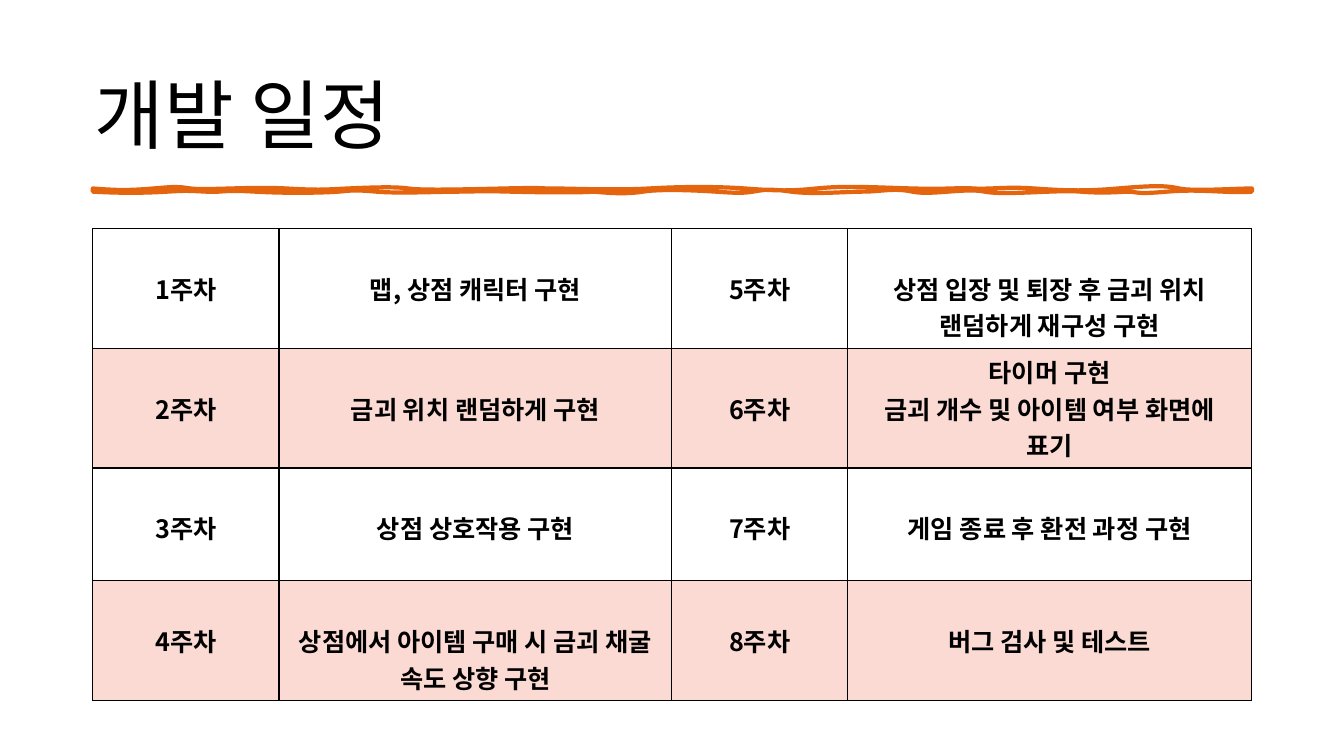
from dataclasses import dataclass

from lxml.etree import SubElement
from pptx import Presentation
from pptx.dml.color import RGBColor
from pptx.enum.text import MSO_ANCHOR, PP_ALIGN
from pptx.oxml.ns import qn
from pptx.util import Cm, Pt


@dataclass(frozen=True)
class Theme:
    """Colours, font and type sizes of the slide."""
    font: str = "Noto Sans CJK KR"
    ink: str = "000000"
    rule: str = "E4650E"
    band: str = "E64823"
    band_alpha: int = 20000
    title: int = 54
    cell: int = 18


@dataclass(frozen=True)
class Box:
    """A region of the slide in centimetres."""
    x: float
    y: float
    w: float
    h: float

    def place(self):
        """Return left, top, width and height as lengths."""
        return Cm(self.x), Cm(self.y), Cm(self.w), Cm(self.h)


THEME = Theme()
RULE_UNITS = 1150
RULE_TOP = [
    (25, 2, 36, 2, 60), (84, -2, 83, -2, 97), (112, 2, 157, -2, 192),
    (227, 2, 231, 1, 253), (275, -1, 300, -2, 313), (326, 2, 366, 1, 408),
    (450, -1, 438, 0, 457), (475, 0, 517, 2, 552), (586, -2, 619, -2, 647),
    (674, 2, 690, 3, 718), (747, -3, 777, -1, 813), (850, 1, 858, -1, 874),
    (890, 1, 906, -2, 934), (962, 2, 983, 3, 1017), (1052, -3, 1065, -3, 1078),
    (1091, 3, 1134, 0, 1150),
]
RULE_END = [(1150, -2, 1150, -1, 1150)]
RULE_BOTTOM = [
    (1127, 2, 1101, -3, 1066), (1032, 3, 1037, 0, 1029), (1021, 0, 1004, 2, 980),
    (956, -2, 905, 4, 885), (865, -4, 832, 4, 813), (795, -4, 782, 0, 764),
    (747, 0, 715, 3, 693), (671, -3, 667, -2, 655), (644, 2, 633, 1, 618),
    (602, -1, 565, -3, 546), (527, 3, 509, 1, 497), (485, 1, 454, 1, 414),
    (373, -1, 387, 0, 365), (342, 0, 304, 2, 281), (259, -2, 256, -1, 244),
    (232, 1, 195, 2, 161), (126, -2, 131, 1, 112), (92, -1, 92, -1, 74),
    (57, 1, 35, 2, 0),
]
COLUMNS = [4.69, 9.9, 4.43, 10.18]
SCHEDULE = [
    ["맵, 상점 캐릭터 구현"],
    ["금괴 위치 랜덤하게 구현"],
    ["상점 상호작용 구현"],
    ["상점에서 아이템 구매 시 금괴 채굴 속도 상향 구현"],
    ["상점 입장 및 퇴장 후 금괴 위치 랜덤하게 재구성 구현"],
    ["타이머 구현", "금괴 개수 및 아이템 여부 화면에 표기"],
    ["게임 종료 후 환전 과정 구현"],
    ["버그 검사 및 테스트"],
]


def write(p, text, size, bold, align):
    """Write one styled line of text into a paragraph."""
    r = p.add_run()
    r.text = text
    p.alignment = align
    for font in (p.font, r.font):
        font.size, font.bold, font.name = Pt(size), bold, THEME.font
        font.color.rgb = RGBColor.from_string(THEME.ink)
        SubElement(font._rPr, qn("a:ea"), typeface=THEME.font)


def add_title(s, box, text):
    """Place the title placeholder in the box."""
    sp = s.shapes.title
    sp.left, sp.top, sp.width, sp.height = box.place()
    tf = sp.text_frame
    tf.word_wrap = True
    tf.vertical_anchor = MSO_ANCHOR.MIDDLE
    write(tf.paragraphs[0], text, THEME.title, False, PP_ALIGN.LEFT)


def add_rule(s, box):
    """Draw the hand-drawn rule across the box."""
    left, top, width, height = box.place()
    unit = width / RULE_UNITS
    curves = [(0, c) for c in RULE_TOP] + [(height, c) for c in RULE_END + RULE_BOTTOM]
    builder = s.shapes.build_freeform(left, top)
    builder.add_line_segments([(left + c[4] * unit, top + y) for y, c in curves])
    sp = builder.convert_to_shape()
    for segment, (y, (x1, dy1, x2, dy2, _)) in zip(sp._element.findall(".//" + qn("a:lnTo")), curves):
        segment.tag = qn("a:cubicBezTo")
        for i, (x, dy) in enumerate([(x1, dy1), (x2, dy2)]):
            pt = SubElement(segment, qn("a:pt"), x=str(round(x * unit)), y=str(round(y + dy * unit)))
            segment.insert(i, pt)
    sp.shadow.inherit = False
    sp.fill.background()
    sp.line.color.rgb = RGBColor.from_string(THEME.rule)
    sp.line.width = Pt(3)
    ln = sp.line._get_or_add_ln()
    ln.set("cap", "rnd")
    SubElement(ln, qn("a:round"))


def format_cell(cell, lines, banded):
    """Fill, border and write one schedule cell."""
    tc_pr = cell._tc.get_or_add_tcPr()
    for side in "LRTB":
        ln = SubElement(tc_pr, qn(f"a:ln{side}"), w=str(Pt(1)))
        SubElement(SubElement(ln, qn("a:solidFill")), qn("a:srgbClr"), val=THEME.ink)
    if banded:
        cell.fill.solid()
        cell.fill.fore_color.rgb = RGBColor.from_string(THEME.band)
        color = tc_pr.find(qn("a:solidFill")).find(qn("a:srgbClr"))
        SubElement(color, qn("a:alpha"), val=str(THEME.band_alpha))
    else:
        cell.fill.background()
    cell.vertical_anchor = MSO_ANCHOR.TOP
    cell.margin_top = Cm(1.05 if len(lines) == 1 else 0.13)
    cell.margin_left = cell.margin_right = Cm(0.35)
    tf = cell.text_frame
    for i, line in enumerate(lines):
        p = tf.add_paragraph() if i else tf.paragraphs[0]
        write(p, line, THEME.cell, True, PP_ALIGN.CENTER)


def add_schedule(s, box, tasks):
    """Lay the weekly tasks out in two halves of a table in the box."""
    rows = len(tasks) // 2
    table = s.shapes.add_table(rows, len(COLUMNS), *box.place()).table
    table.first_row = table.horz_banding = False
    for column, width in zip(table.columns, COLUMNS):
        column.width = Cm(width)
    for row in table.rows:
        row.height = Cm(box.h / rows)
    for i, lines in enumerate(tasks):
        half, row = divmod(i, rows)
        banded = row % 2 == 1
        format_cell(table.cell(row, 2 * half), [f"{i + 1}주차"], banded)
        format_cell(table.cell(row, 2 * half + 1), lines, banded)


def main():
    """Build and save the schedule slide."""
    prs = Presentation()
    prs.slide_width, prs.slide_height = Cm(33.87), Cm(19.05)
    s = prs.slides.add_slide(prs.slide_layouts[5])
    add_rule(s, Box(2.34, 4.75, 29.21, 0.08))
    add_title(s, Box(2.13, 1.02, 29.21, 3.68), "개발 일정")
    add_schedule(s, Box(2.34, 5.76, 29.2, 11.38), SCHEDULE)
    prs.save("out.pptx")


if __name__ == "__main__":
    main()
